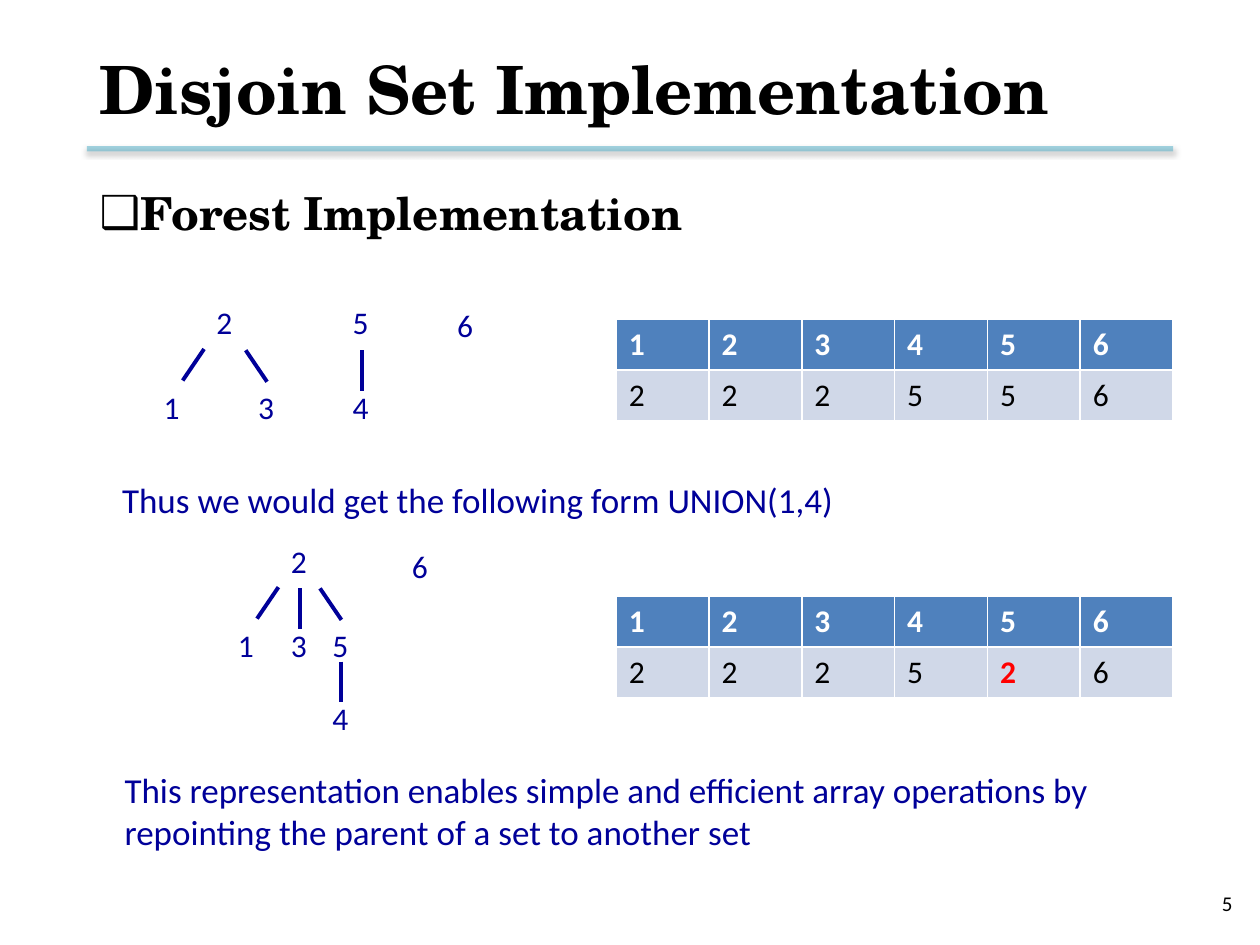
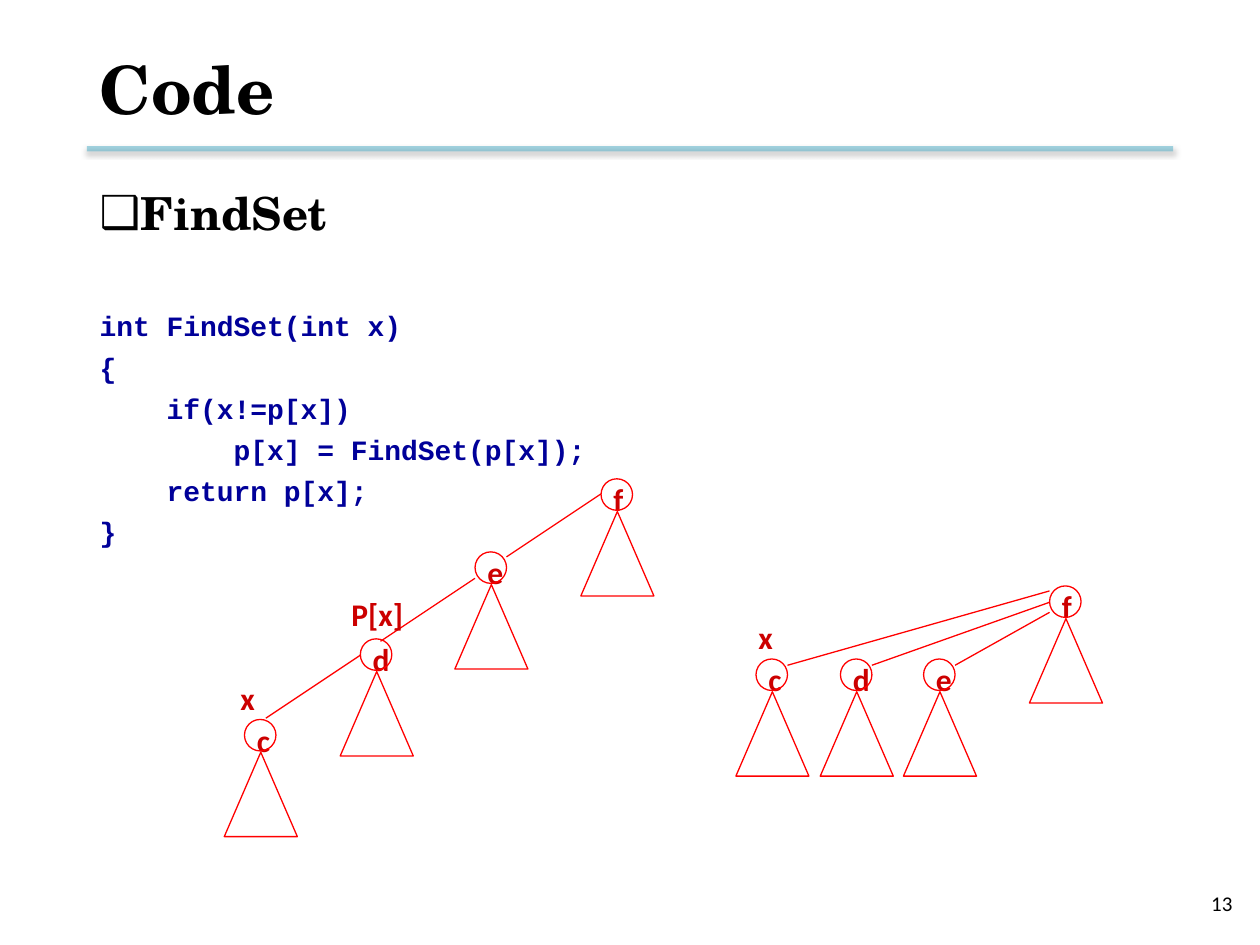
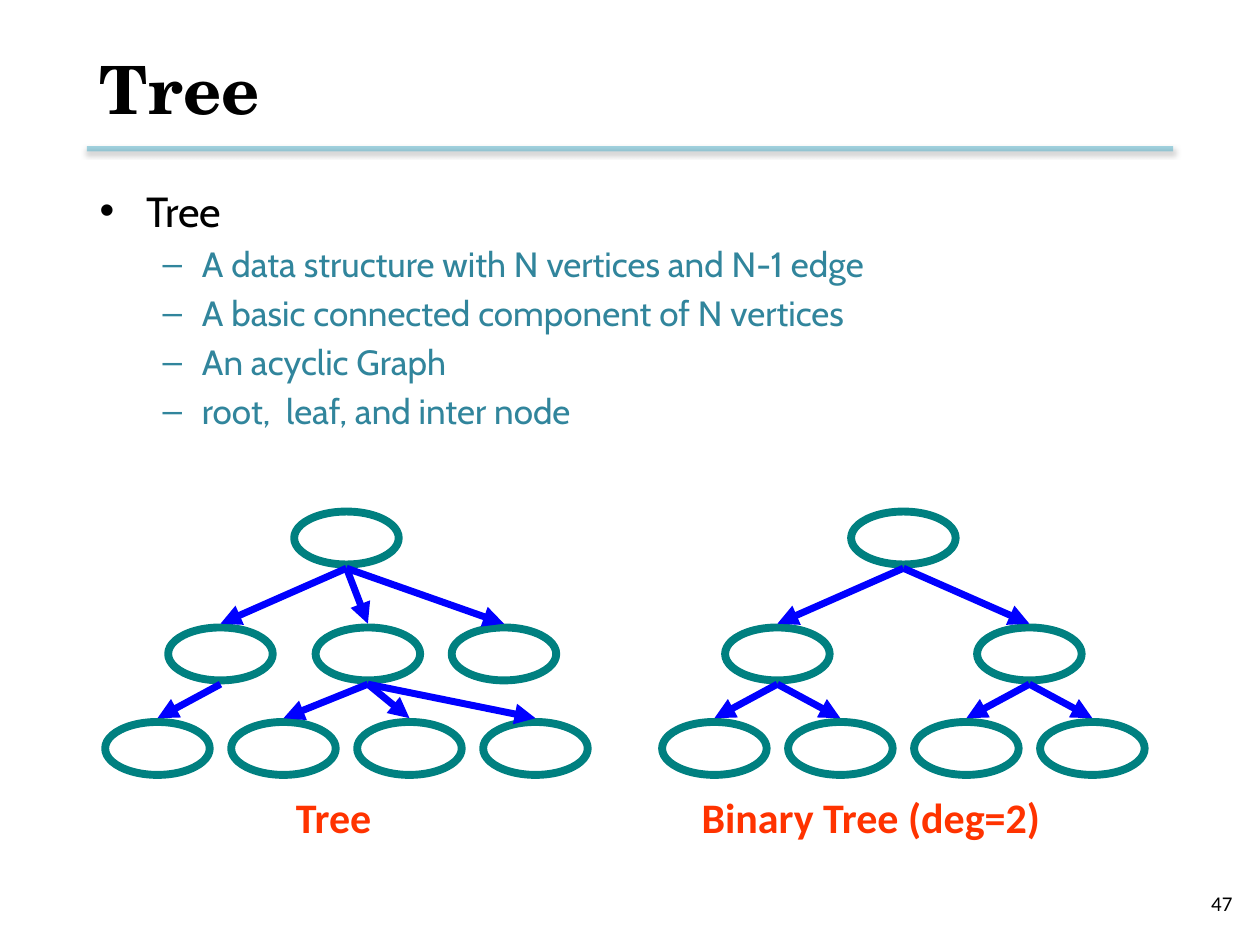
from lxml.etree import SubElement
from pptx import Presentation
from pptx.dml.color import RGBColor
from pptx.enum.shapes import MSO_CONNECTOR, MSO_SHAPE
from pptx.enum.text import MSO_ANCHOR, MSO_AUTO_SIZE, PP_ALIGN
from pptx.oxml.ns import qn
from pptx.util import Inches, Pt

COLORS = {
    "black": "000000", "white": "FFFFFF", "rule": "4BACC6", "navy": "000099",
    "header": "4F81BD", "band": "D0D8E8", "red": "FF0000", "label": "CC0000",
    "sub": "31859C", "ring": "008080", "arrow": "0000FF", "caption": "FF3300",
}
SERIF, SANS, MONO, BODY = "TeX Gyre Schola", "Calibri", "Courier New", "Cabin"
LEFT, WIDTH = 0.69, 8.62

FOREST_TITLE = "Disjoin Set Implementation"
FOREST_HEADING = "Forest Implementation"
FOREST_NODES = [
    ("2", 1.62, 2.36, None), ("1", 1.2, 3.03, "left"), ("3", 1.95, 3.03, "right"),
    ("5", 2.7, 2.36, None), ("4", 2.7, 3.03, "down"), ("6", 3.53, 2.38, None),
    ("2", 2.21, 4.25, None), ("1", 1.79, 4.92, "left"), ("3", 2.21, 4.92, "down"),
    ("5", 2.54, 4.92, "right"), ("4", 2.54, 5.5, "down"), ("6", 3.17, 4.29, None),
]
FOREST_EDGES = {
    "left": (0.42, -0.26, 0.25, -0.01),
    "right": (0, -0.25, 0.17, 0),
    "down": (0.17, -0.25, 0.17, 0.07),
}
PARENT_TABLES = [(2.53, "222556", None), (4.73, "222526", 4)]
UNION_TEXT = "Thus we would get the following form UNION(1,4)"
ARRAY_TEXT = ("This representation enables simple and efficient array operations by "
              "repointing the parent of a set to another set")

CODE_TITLE = "Code"
CODE_HEADING = "FindSet"
CODE_LINES = [
    "int FindSet(int x)",
    "{",
    "    if(x!=p[x])",
    "        p[x] = FindSet(p[x]);",
    "    return p[x];",
    "}",
]
SUBTREES = [
    ("f", 4.77, 3.8), ("e", 3.77, 4.38), ("d", 2.86, 5.07), ("c", 1.94, 5.71),
    ("f", 8.33, 4.65), ("e", 7.33, 5.23), ("d", 6.67, 5.23), ("c", 6, 5.23),
]
CHAIN_STARTS = [(4.77, 3.92), (3.77, 4.59), (2.86, 5.2)]
CHAIN_STEP = (-0.75, 0.5)
FLAT_EDGES = [(4.86, 7.58), (4.78, 6.92), (4.69, 6.25)]
POINTERS = [("P[x]", 2.69, 4.67, 0.62), ("x", 1.81, 5.34, 0.32), ("x", 5.92, 4.86, 0.32)]

TREE_TITLE = "Tree"
TREE_HEADING = "Tree"
TREE_POINTS = [
    "A data structure with N vertices and N-1 edge",
    "A basic connected component of N vertices",
    "An acyclic Graph",
    "root,  leaf, and inter node",
]
LEVEL_TOPS = [4.06, 4.98, 5.73]
OVAL_WIDTH, OVAL_HEIGHT, OVAL_GAP = 0.83, 0.42, 0.03
TREES = [
    {"caption": ("Tree", 2.25, 0.91),
     "levels": [[(2.75, None)],
                [(1.75, 0), (2.92, 0), (4, 0)],
                [(1.25, 0), (2.25, 1), (3.25, 1), (4.25, 1)]]},
    {"caption": ("Binary Tree (deg=2)", 5.47, 3.29),
     "levels": [[(7.17, None)],
                [(6.17, 0), (8.17, 0)],
                [(5.67, 0), (6.67, 0), (7.67, 1), (8.67, 1)]]},
]


def rgb(name):
    return RGBColor.from_string(COLORS[name])


def set_font(paragraph, name, size, color, bold=False):
    font = paragraph.font
    font.name, font.size, font.bold = name, Pt(size), bold
    font.color.rgb = rgb(color)


def place(shape, left, top, width, height):
    shape.left, shape.top = Inches(left), Inches(top)
    shape.width, shape.height = Inches(width), Inches(height)


def add_text(slide, text, left, top, width, height, size, color, bold=False, wrap=False):
    box = slide.shapes.add_textbox(Inches(left), Inches(top), Inches(width), Inches(height))
    frame = box.text_frame
    frame.word_wrap = wrap
    frame.auto_size = MSO_AUTO_SIZE.SHAPE_TO_FIT_TEXT
    frame.text = text
    set_font(frame.paragraphs[0], SANS, size, color, bold)
    return box


def add_line(slide, start, end, color, weight):
    line = slide.shapes.add_connector(
        MSO_CONNECTOR.STRAIGHT, *(Inches(value) for value in (*start, *end)))
    line.line.color.rgb = rgb(color)
    line.line.width = Pt(weight)
    SubElement(line.element.spPr, qn("a:effectLst"))
    return line


def add_outline(slide, preset, left, top, width, height, color, weight):
    shape = slide.shapes.add_shape(
        preset, Inches(left), Inches(top), Inches(width), Inches(height))
    shape.shadow.inherit = False
    shape.fill.background()
    shape.line.color.rgb = rgb(color)
    shape.line.width = Pt(weight)


def add_rule_to_layout(slide):
    rule = add_line(slide, (LEFT, 1.18), (LEFT + WIDTH, 1.18), "rule", 3)
    properties = rule.element.spPr
    line_color = properties.find(".//" + qn("a:srgbClr"))
    SubElement(line_color, qn("a:alpha"), val="50000")
    shadow = SubElement(properties.find(qn("a:effectLst")), qn("a:outerShdw"),
                        blurRad="40000", dist="20000", dir="5400000", rotWithShape="0")
    shadow_color = SubElement(shadow, qn("a:srgbClr"), val=COLORS["black"])
    SubElement(shadow_color, qn("a:alpha"), val="38000")
    slide.slide_layout.shapes.element.append(rule.element)


def add_slide(presentation, title, number):
    slide = presentation.slides.add_slide(presentation.slide_layouts[1])
    place(slide.shapes.title, LEFT, 0.17, WIDTH, 1.06)
    frame = slide.shapes.title.text_frame
    frame.vertical_anchor = MSO_ANCHOR.MIDDLE
    frame.text = title
    paragraph = frame.paragraphs[0]
    paragraph.alignment = PP_ALIGN.LEFT
    set_font(paragraph, SERIF, 38, "black", True)
    place(slide.placeholders[1], LEFT, 1.42, WIDTH, 5.1)
    page = add_text(slide, str(number), 7.55, 6.97, 2.33, 0.4, 12, "black", wrap=True)
    page.text_frame.auto_size = MSO_AUTO_SIZE.NONE
    page.text_frame.vertical_anchor = MSO_ANCHOR.MIDDLE
    page.text_frame.paragraphs[0].alignment = PP_ALIGN.RIGHT
    return slide


def set_indent(paragraph, margin, bullet=None):
    properties = paragraph._p.get_or_add_pPr()
    properties.set("marL", str(Inches(margin)))
    properties.set("indent", str(-Inches(margin)))
    if bullet:
        SubElement(properties, qn("a:buChar"), char=bullet)
    else:
        SubElement(properties, qn("a:buNone"))


def add_heading(slide, text):
    frame = slide.placeholders[1].text_frame
    frame.text = text
    paragraph = frame.paragraphs[0]
    paragraph.space_before = Pt(0)
    set_indent(paragraph, 0.32, "❑")
    set_font(paragraph, SERIF, 26, "black", True)
    return frame


def add_parent_table(slide, top, parents, changed):
    columns = len(parents)
    table = slide.shapes.add_table(
        2, columns, Inches(4.89), Inches(top), Inches(4.42), Inches(0.81)).table
    for column, parent in enumerate(parents):
        is_changed = column == changed
        cells = [(str(column + 1), "header", "white", True),
                 (parent, "band", "red" if is_changed else "black", is_changed)]
        for row, (text, fill, color, bold) in enumerate(cells):
            cell = table.cell(row, column)
            cell.text = text
            cell.fill.solid()
            cell.fill.fore_color.rgb = rgb(fill)
            set_font(cell.text_frame.paragraphs[0], SANS, 18, color, bold)


def build_forest(presentation):
    slide = add_slide(presentation, FOREST_TITLE, 5)
    add_rule_to_layout(slide)
    add_heading(slide, FOREST_HEADING)
    for digit, left, top, edge in FOREST_NODES:
        add_text(slide, digit, left, top, 0.34, 0.4, 18, "navy")
        if edge:
            x1, y1, x2, y2 = FOREST_EDGES[edge]
            add_line(slide, (left + x1, top + y1), (left + x2, top + y2), "navy", 2.25)
    add_text(slide, UNION_TEXT, 0.87, 3.75, 6.39, 0.43, 20, "navy")
    add_text(slide, ARRAY_TEXT, 0.89, 6.05, 8.43, 0.77, 20, "navy", wrap=True)
    for parent_table in PARENT_TABLES:
        add_parent_table(slide, *parent_table)


def build_code(presentation):
    slide = add_slide(presentation, CODE_TITLE, 13)
    frame = add_heading(slide, CODE_HEADING)
    for index, code in enumerate(CODE_LINES):
        paragraph = frame.add_paragraph()
        paragraph.text = code
        paragraph.space_before = Pt(4.3 if index else 39.5)
        set_indent(paragraph, 0)
        set_font(paragraph, MONO, 16, "navy", True)
    for paragraph in frame.paragraphs:
        paragraph.alignment = PP_ALIGN.JUSTIFY
    for name, left, top in SUBTREES:
        add_outline(slide, MSO_SHAPE.ISOSCELES_TRIANGLE,
                    left - 0.16, top + 0.26, 0.58, 0.67, "red", 0.75)
        add_text(slide, name, left, top - 0.04, 0.32, 0.33, 18, "label", True)
        add_outline(slide, MSO_SHAPE.OVAL, left, top, 0.25, 0.25, "red", 0.75)
    for x, y in CHAIN_STARTS:
        add_line(slide, (x, y), (x + CHAIN_STEP[0], y + CHAIN_STEP[1]), "red", 0.75)
    for start_y, end_x in FLAT_EDGES:
        add_line(slide, (8.33, start_y), (end_x, 5.28), "red", 0.75)
    for text, left, top, width in POINTERS:
        add_text(slide, text, left, top, width, 0.33, 18, "label", True)


def add_tree(slide, levels, caption):
    for top, nodes in zip(LEVEL_TOPS, levels):
        for center, _ in nodes:
            add_outline(slide, MSO_SHAPE.OVAL, center - OVAL_WIDTH / 2, top,
                        OVAL_WIDTH, OVAL_HEIGHT, "ring", 4.5)
    for depth in range(1, len(levels)):
        start_y = LEVEL_TOPS[depth - 1] + OVAL_HEIGHT + OVAL_GAP
        end_y = LEVEL_TOPS[depth] - OVAL_GAP
        for center, parent in levels[depth]:
            parent_center = levels[depth - 1][parent][0]
            arrow = add_line(slide, (parent_center, start_y), (center, end_y), "arrow", 4)
            SubElement(arrow.line._get_or_add_ln(), qn("a:tailEnd"), type="triangle")
    text, left, width = caption
    add_text(slide, text, left, 6.23, width, 0.5, 24, "caption", True)


def build_tree(presentation):
    slide = add_slide(presentation, TREE_TITLE, 47)
    frame = slide.placeholders[1].text_frame
    frame.text = "\n".join([TREE_HEADING, *TREE_POINTS])
    for index, paragraph in enumerate(frame.paragraphs):
        paragraph.alignment = PP_ALIGN.JUSTIFY
        paragraph.level = 1 if index else 0
        paragraph.space_before = Pt(4 if index else 0)
        set_font(paragraph, BODY, *((20, "sub") if index else (24, "black")))
    for tree in TREES:
        add_tree(slide, **tree)


def main():
    presentation = Presentation()
    presentation.slide_width, presentation.slide_height = Inches(10), Inches(7.5)
    build_forest(presentation)
    build_code(presentation)
    build_tree(presentation)
    presentation.save("out.pptx")


if __name__ == "__main__":
    main()
